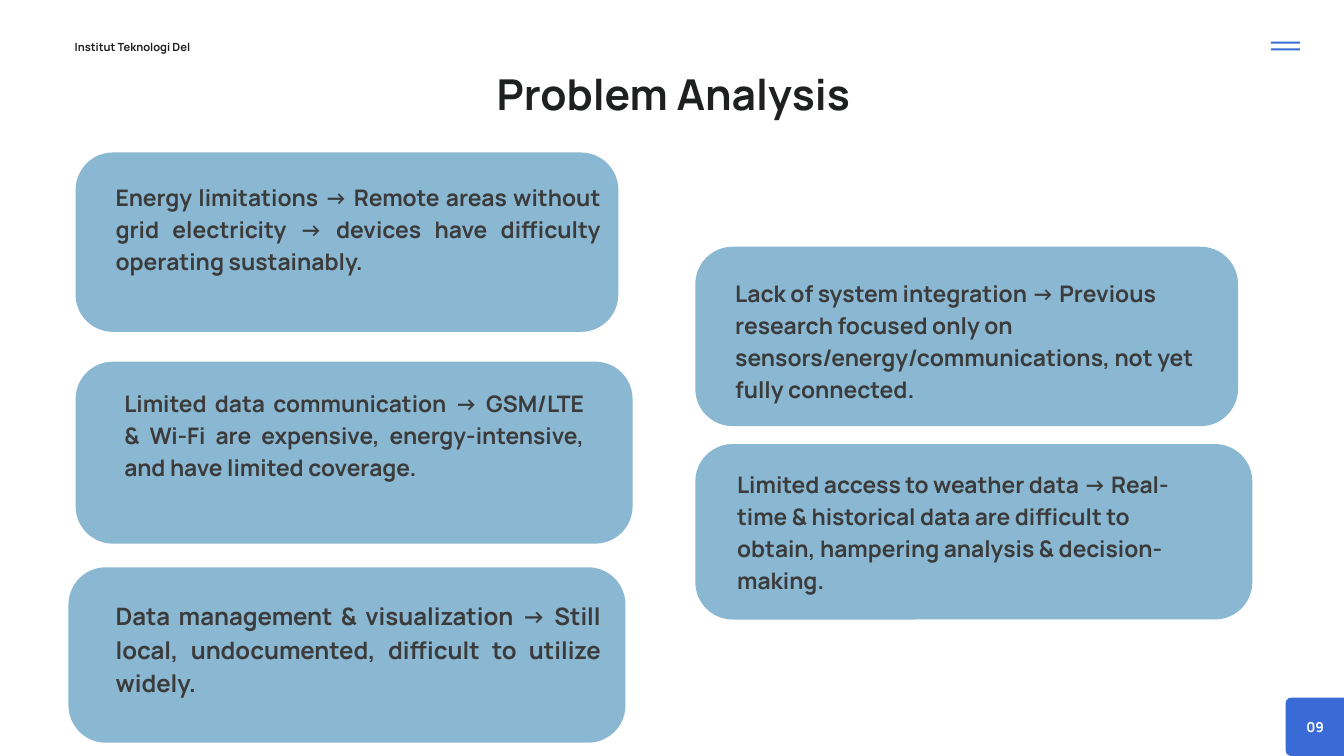
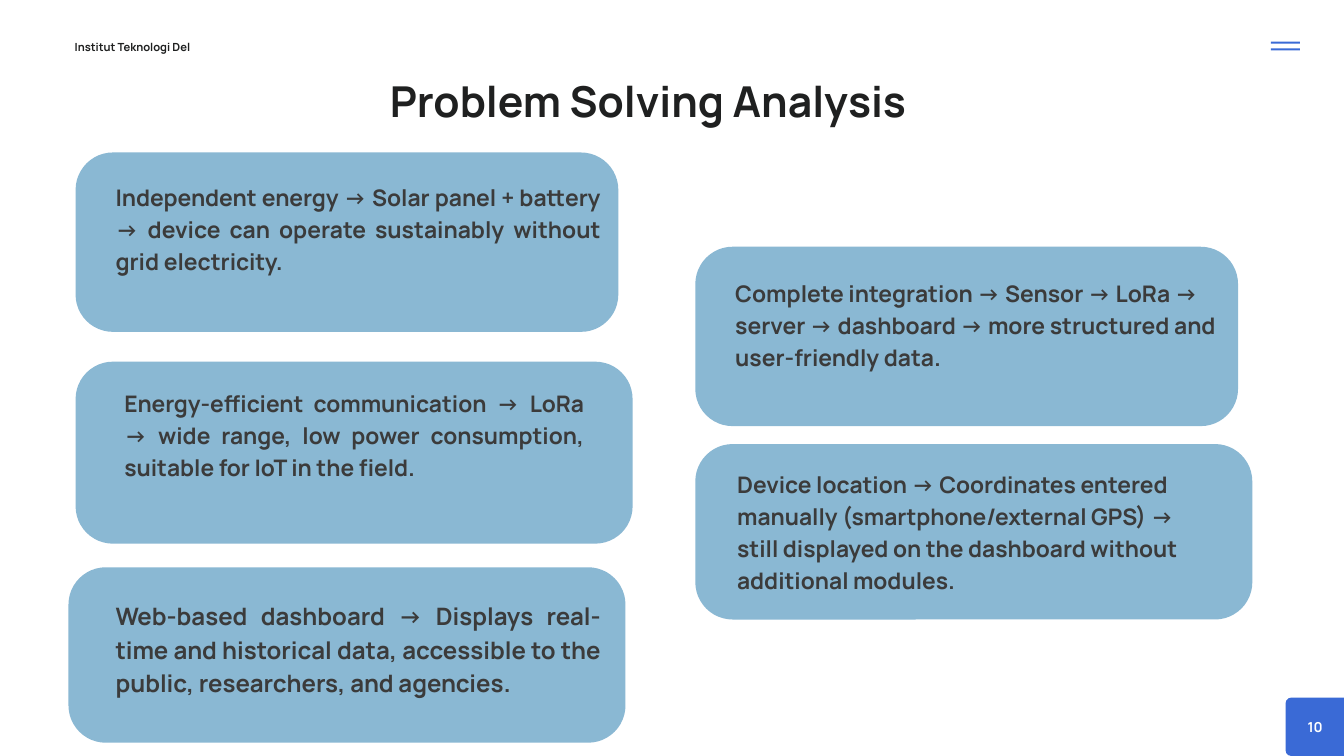
from dataclasses import dataclass

from pptx import Presentation
from pptx.dml.color import RGBColor
from pptx.enum import shapes, text
from pptx.util import Pt

COLORS = {
    "accent": "3A6AD6",
    "card": "8AB8D3",
    "heading": "1F2020",
    "body": "3B3B3B",
    "white": "FFFFFF",
}
FONT = "Manrope"
TITLE_ONLY = 5
LEFT, JUSTIFY, CENTER = text.PP_ALIGN.LEFT, text.PP_ALIGN.JUSTIFY, text.PP_ALIGN.CENTER


@dataclass
class Card:
    """Place of a card and of its text, as (left, top, width, height) in points."""
    frame: tuple
    text_frame: tuple
    size: float = 24.5
    leading: float = 34.3
    align: int = LEFT


CARDS = [
    Card((81, 163.4, 581.5, 192.2), (123.8, 192.2, 519.8, 136), align=JUSTIFY),
    Card((81, 387.5, 596.8, 195), (133.2, 412.6, 492.5, 170), 24.4, 34.1, JUSTIFY),
    Card((73.4, 607.8, 596.8, 188), (123.8, 639.4, 519.8, 145), 25.7, 36, JUSTIFY),
    Card((745, 264.4, 581.5, 192.2), (787.7, 295.2, 519.8, 170)),
    Card((745, 475.8, 596.8, 188), (789.8, 499.7, 492.5, 169), 24.4, 34.1),
]

PAGES = [
    ("09", "Problem Analysis", (532.1, 63.4, 425.5, 64.8), [
        "Energy limitations → Remote areas without grid electricity → devices have "
        "difficulty operating sustainably.",
        "Limited data communication → GSM/LTE & Wi-Fi are expensive, energy-intensive, "
        "and have limited coverage.",
        "Data management & visualization → Still local, undocumented, difficult to "
        "utilize widely.",
        "Lack of system integration → Previous research focused only on "
        "sensors/energy/communications, not yet fully connected.",
        "Limited access to weather data → Real-time & historical data are difficult to "
        "obtain, hampering analysis & decision-making.",
    ]),
    ("10", "Problem Solving Analysis", (417.6, 70.6, 604.8, 64.8), [
        "Independent energy → Solar panel + battery → device can operate sustainably "
        "without grid electricity.",
        "Energy-efficient communication → LoRa → wide range, low power consumption, "
        "suitable for IoT in the field.",
        "Web-based dashboard → Displays real-time and historical data, accessible to "
        "the public, researchers, and agencies.",
        "Complete integration → Sensor → LoRa → server → dashboard → more structured "
        "and user-friendly data.",
        "Device location → Coordinates entered manually (smartphone/external GPS) → "
        "still displayed on the dashboard without additional modules.",
    ]),
]


def write(box, words, *, size, leading, color="body", align=LEFT):
    """Fill a shape's text frame with one bold paragraph, without margins."""
    frame = box.text_frame
    frame.word_wrap = True
    frame.auto_size = text.MSO_AUTO_SIZE.NONE
    frame.vertical_anchor = text.MSO_ANCHOR.TOP
    frame.margin_left = frame.margin_right = frame.margin_top = frame.margin_bottom = 0
    para = frame.paragraphs[0]
    para.alignment = align
    para.line_spacing = Pt(leading)
    para.space_before = Pt(0)
    span = para.add_run()
    span.text = words
    span.font.name = FONT
    span.font.size = Pt(size)
    span.font.bold = True
    span.font.color.rgb = RGBColor.from_string(COLORS[color])


class DeckBuilder:
    def __init__(self):
        self.deck = Presentation()
        self.deck.slide_width, self.deck.slide_height = Pt(1440), Pt(810)
        self.page = None

    def add_page(self, number, title, title_frame):
        self.page = self.deck.slides.add_slide(self.deck.slide_layouts[TITLE_ONLY])
        self.title(title, title_frame)
        self.label("Institut Teknologi Del", (80, 40.3, 151.2, 16), size=12,
                   leading=16.8, color="heading")
        for top in (44.6, 51.8):
            self.panel((1361.8, top, 31, 2.2), "accent")
        self.panel((1377.4, 747.4, 74.9, 62.6), "accent", radius=6.2)
        self.label(number, (1391.8, 766.8, 34.6, 20.2), size=14.7, leading=20.6,
                   color="white", align=CENTER)

    def title(self, words, frame):
        box = self.page.shapes.title
        box.left, box.top, box.width, box.height = map(Pt, frame)
        write(box, words, size=45.6, leading=63.9, color="heading")

    def label(self, words, frame, **style):
        write(self.page.shapes.add_textbox(*map(Pt, frame)), words, **style)

    def panel(self, frame, color, radius=0):
        kind = shapes.MSO_SHAPE.ROUNDED_RECTANGLE if radius else shapes.MSO_SHAPE.RECTANGLE
        box = self.page.shapes.add_shape(kind, *map(Pt, frame))
        if radius:
            box.adjustments[0] = radius / min(frame[2:])
        box.shadow.inherit = False
        box.fill.solid()
        box.fill.fore_color.rgb = RGBColor.from_string(COLORS[color])
        box.line.fill.background()

    def card(self, card, words):
        self.panel(card.frame, "card", radius=40)
        self.label(words, card.text_frame, size=card.size, leading=card.leading,
                   align=card.align)


def main():
    builder = DeckBuilder()
    for number, title, title_frame, points in PAGES:
        builder.add_page(number, title, title_frame)
        for card, words in zip(CARDS, points):
            builder.card(card, words)
    builder.deck.save("out.pptx")


if __name__ == "__main__":
    main()
